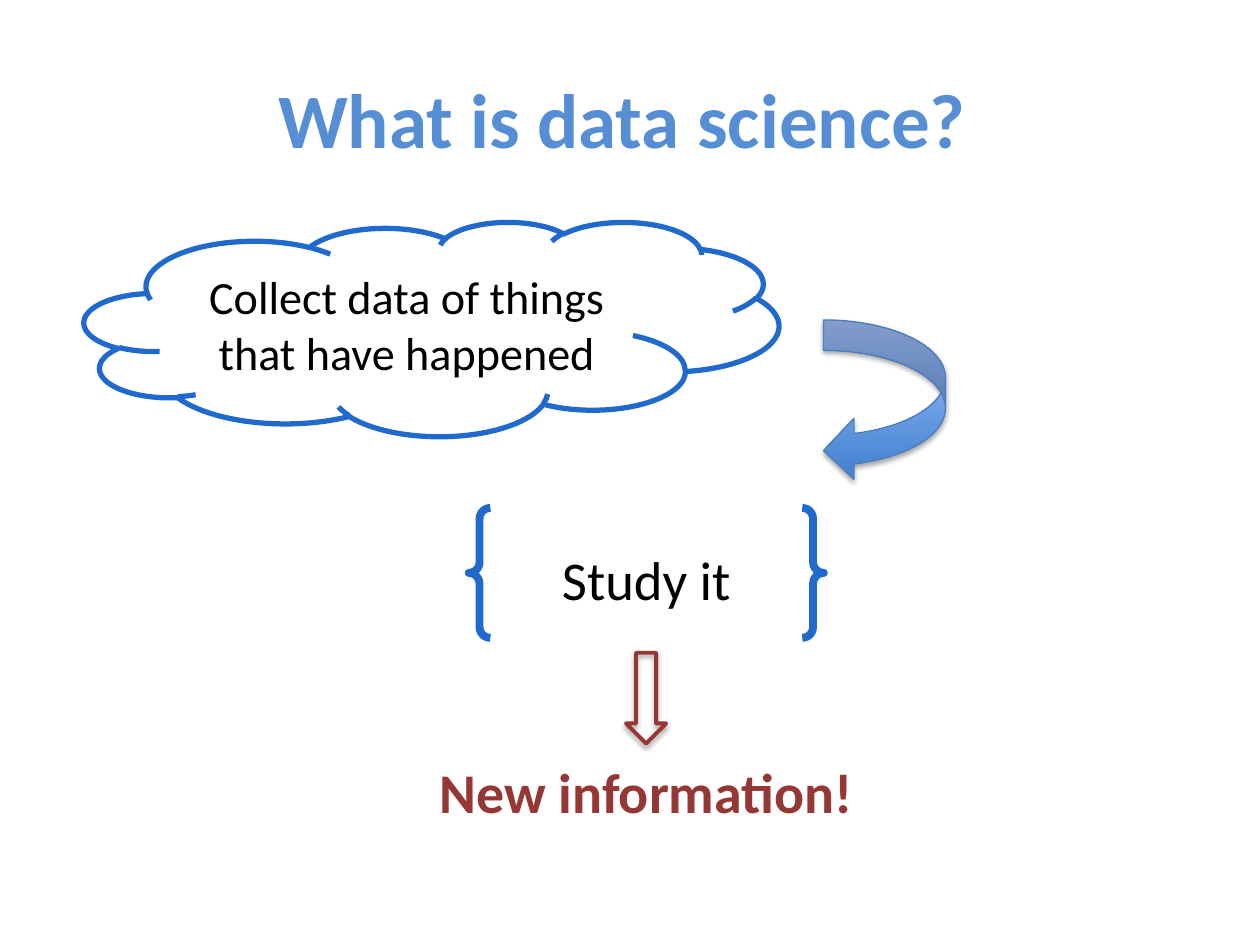
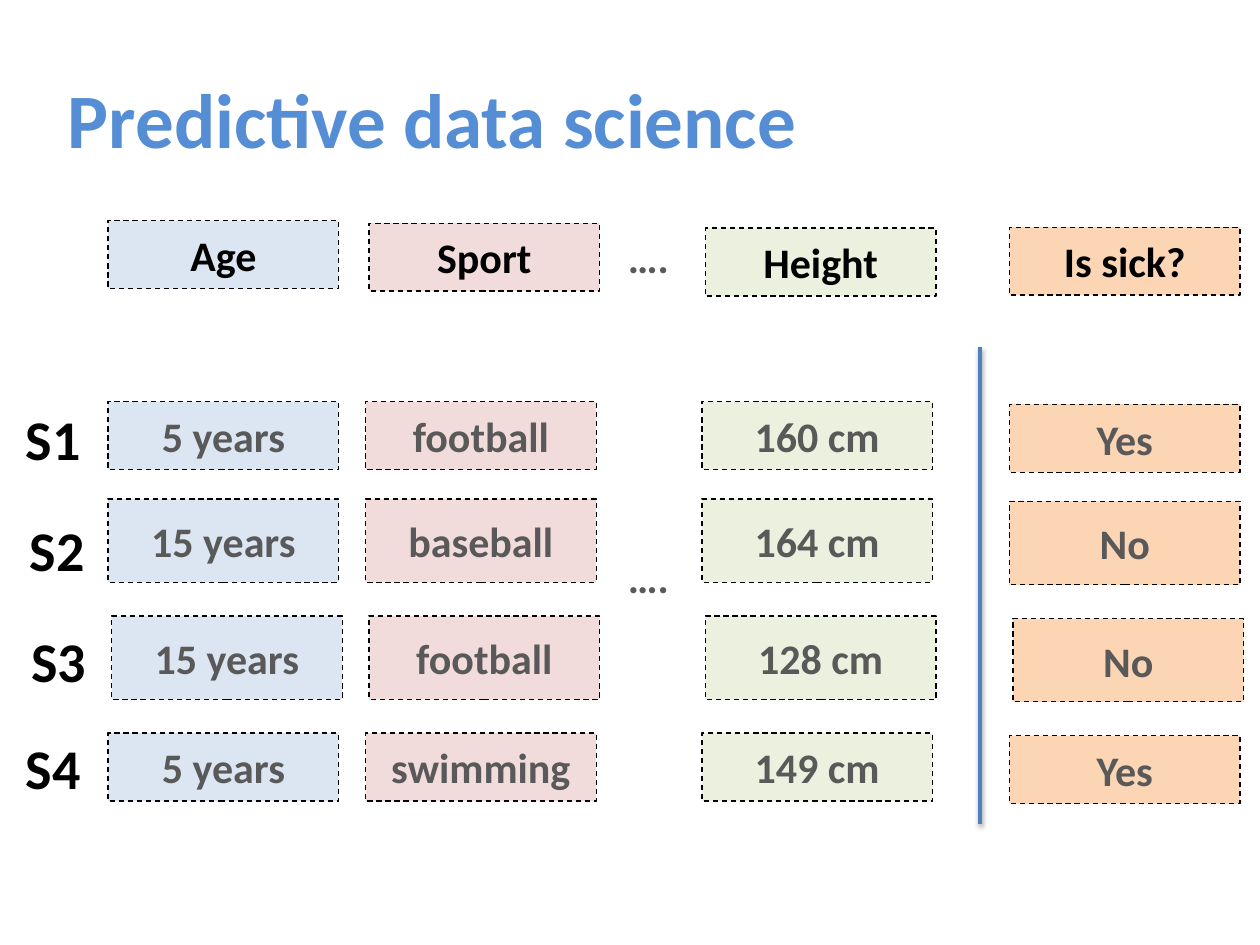
from lxml.etree import SubElement
from pptx import Presentation
from pptx.dml.color import RGBColor
from pptx.enum.dml import MSO_LINE
from pptx.enum.shapes import MSO_CONNECTOR, MSO_SHAPE
from pptx.enum.text import MSO_ANCHOR, PP_ALIGN
from pptx.oxml.ns import qn
from pptx.util import Cm, Pt

# Shared look
FONT = "Calibri"
BLACK = RGBColor(0x00, 0x00, 0x00)
GREY = RGBColor(0x59, 0x59, 0x59)
TITLE_BLUE = RGBColor(0x55, 0x8E, 0xD5)
OUTLINE_BLUE = RGBColor(0x20, 0x6A, 0xCE)
DIVIDER_BLUE = RGBColor(0x4F, 0x81, 0xBD)
ARROW_EDGE = RGBColor(0x4B, 0x7E, 0xBC)
ARROW_DARK = RGBColor(0x3F, 0x80, 0xCE)
ARROW_LIGHT = RGBColor(0xA4, 0xC4, 0xFF)
DARK_RED = RGBColor(0x95, 0x37, 0x35)
PALE_BLUE = RGBColor(0xDC, 0xE6, 0xF2)
PALE_RED = RGBColor(0xF2, 0xDC, 0xDB)
PALE_GREEN = RGBColor(0xEB, 0xF1, 0xDE)
PALE_ORANGE = RGBColor(0xFC, 0xD5, 0xB5)

# Data table, lengths in cm
CELL_WIDTH = 4.65
CELL_HEIGHT = 1.37
ROWS = [(8.1, CELL_HEIGHT, 0), (10.06, 1.68, 0),
        (12.42, 1.68, 0.07), (14.78, CELL_HEIGHT, 0)]  # top, height, shift right
# header, fill, left, header left, header top, drop of the values, values
COLUMNS = [
    ("Age", PALE_BLUE, 2.18, 2.18, 4.45, 0,
     ["5 years", "15 years", "15 years", "5 years"]),
    ("Sport", PALE_RED, 7.37, 7.44, 4.5, 0,
     ["football", "baseball", "football", "swimming"]),
    ("Height", PALE_GREEN, 14.15, 14.22, 4.6, 0,
     ["160 cm", "164 cm", "128 cm", "149 cm"]),
    ("Is sick?", PALE_ORANGE, 20.35, 20.35, 4.58, 0.05,
     ["Yes", "No", "No", "Yes"]),
]
SAMPLES = [("S1", -0.08, 8.03), ("S2", 0, 10.26),
           ("S3", 0.03, 12.5), ("S4", -0.08, 14.66)]


def write_text(shape, text, size=24, color=BLACK, bold=False,
               align=PP_ALIGN.CENTER, anchor=MSO_ANCHOR.MIDDLE):
    frame = shape.text_frame
    frame.word_wrap = True
    frame.vertical_anchor = anchor
    paragraph = frame.paragraphs[0]
    paragraph.text = text
    paragraph.alignment = align
    font = paragraph.font
    font.name, font.size, font.bold = FONT, Pt(size), bold
    font.color.rgb = color


def add_text(slide, text, left, top, width, height, **text_format):
    box = slide.shapes.add_textbox(Cm(left), Cm(top), Cm(width), Cm(height))
    write_text(box, text, **text_format)


def add_title(slide, text, align=PP_ALIGN.CENTER):
    add_text(slide, text, 1.12, 0.79, 22.86, 3.17,
             size=44, color=TITLE_BLUE, bold=True, align=align)


def add_outline(slide, kind, left, top, width, height, color, weight):
    shape = slide.shapes.add_shape(kind, Cm(left), Cm(top), Cm(width), Cm(height))
    shape.shadow.inherit = False
    shape.fill.background()
    shape.line.color.rgb = color
    shape.line.width = Pt(weight)
    return shape


def add_drop_shadow(shape, distance, opacity):
    properties = shape._element.spPr
    effects = properties.find(qn("a:effectLst"))
    if effects is None:
        effects = SubElement(properties, qn("a:effectLst"))
    shadow = SubElement(effects, qn("a:outerShdw"), blurRad=str(Pt(3.1)),
                        dist=str(Pt(distance)), dir="5400000", rotWithShape="0")
    color = SubElement(shadow, qn("a:srgbClr"), val="000000")
    SubElement(color, qn("a:alpha"), val=str(opacity * 1000))


def add_cell(slide, text, left, top, height, fill, color):
    cell = add_outline(slide, MSO_SHAPE.RECTANGLE, left, top,
                       CELL_WIDTH, height, BLACK, 0.75)
    cell.line.dash_style = MSO_LINE.DASH
    cell.fill.solid()
    cell.fill.fore_color.rgb = fill
    write_text(cell, text, color=color, bold=True)


def add_divider(slide, x, top, bottom):
    line = slide.shapes.add_connector(MSO_CONNECTOR.STRAIGHT,
                                      Cm(x), Cm(top), Cm(x), Cm(bottom))
    line.line.color.rgb = DIVIDER_BLUE
    line.line.width = Pt(2)
    add_drop_shadow(line, 1.6, 38)


def build_definition(slide):
    add_title(slide, "What is data science?")

    # Collecting
    cloud = add_outline(slide, MSO_SHAPE.CLOUD, 1.7, 4.47, 14, 4.32, OUTLINE_BLUE, 3)
    write_text(cloud, "Collect data of things that have happened", size=26.4)
    turn = add_outline(slide, MSO_SHAPE.CURVED_LEFT_ARROW,
                       16.6, 6.45, 2.46, 3.25, ARROW_EDGE, 0.75)
    turn.fill.gradient()
    turn.fill.gradient_angle = 90
    for stop, color in zip(turn.fill.gradient_stops, (ARROW_DARK, ARROW_LIGHT)):
        stop.color.rgb = color
    add_drop_shadow(turn, 1.8, 35)

    # Studying
    braces = add_outline(slide, MSO_SHAPE.DOUBLE_BRACE,
                         9.45, 10.24, 7.16, 2.62, OUTLINE_BLUE, 4.5)
    write_text(braces, "Study it", size=31.2)

    # Result
    arrow = add_outline(slide, MSO_SHAPE.DOWN_ARROW,
                        12.62, 13.16, 0.81, 1.83, DARK_RED, 2.25)
    add_drop_shadow(arrow, 1.8, 35)
    add_text(slide, "New information!", 4.04, 15.14, 17.98, 1.8,
             size=32, color=DARK_RED, bold=True, anchor=MSO_ANCHOR.TOP)


def build_prediction(slide):
    add_title(slide, "Predictive data science", align=PP_ALIGN.LEFT)

    # Headers and values
    for header, fill, left, header_left, header_top, drop, values in COLUMNS:
        add_cell(slide, header, header_left, header_top, CELL_HEIGHT, fill, BLACK)
        for value, (top, height, shift) in zip(values, ROWS):
            add_cell(slide, value, left + shift, top + drop, height, fill, GREY)

    # Omitted columns and the line before the outcome
    for top in (4.5, 10.95):
        add_text(slide, "….", 11.99, top, 2.16, CELL_HEIGHT, color=GREY, bold=True)
    add_divider(slide, 19.76, 6.99, 16.61)

    # Sample names
    for name, left, top in SAMPLES:
        add_text(slide, name, left, top, 2.31, 1.5,
                 size=32, bold=True, anchor=MSO_ANCHOR.TOP)


def main():
    presentation = Presentation()
    presentation.slide_width, presentation.slide_height = Cm(25.4), Cm(19.05)
    blank = presentation.slide_layouts[6]
    for build in (build_definition, build_prediction):
        build(presentation.slides.add_slide(blank))
    presentation.save("out.pptx")


if __name__ == "__main__":
    main()
